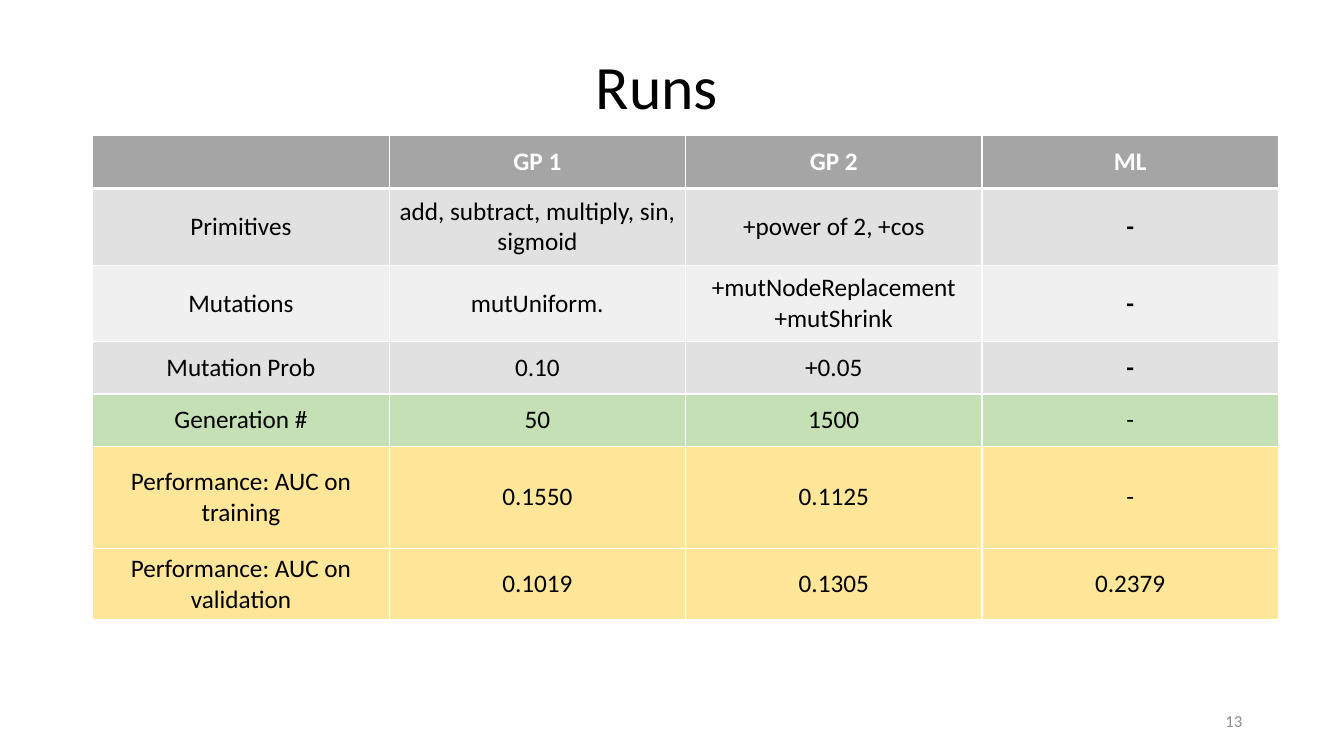
"""Build the slide that compares the settings and scores of the runs."""
from lxml.etree import SubElement
from pptx import Presentation
from pptx.dml.color import RGBColor
from pptx.enum.text import MSO_ANCHOR, PP_ALIGN
from pptx.oxml.ns import qn
from pptx.util import Inches, Pt

COLORS = {
    "header": "A5A5A5", "dark": "E1E1E1", "light": "F0F0F0",
    "green": "C5E0B4", "yellow": "FFE699",
    "white": "FFFFFF", "black": "000000", "number": "8C8C8C",
}
RUNS = [
    ("header", 0.53, ["", "GP 1", "GP 2", "ML"]),
    ("dark", 0.76, ["Primitives", "add, subtract, multiply, sin, sigmoid", "+power of 2, +cos", "-"]),
    ("light", 0.76, ["Mutations", "mutUniform.", "+mutNodeReplacement +mutShrink", "-"]),
    ("dark", 0.52, ["Mutation Prob", "0.10", "+0.05", "-"]),
    ("green", 0.52, ["Generation #", "50", "1500", "-"]),
    ("yellow", 1.01, ["Performance: AUC on training", "0.1550", "0.1125", "-"]),
    ("yellow", 0.71, ["Performance: AUC on validation", "0.1019", "0.1305", "0.2379"]),
]
COLUMNS = 4
COLUMN_WIDTH = 2.94


def write(frame, text, size, color, align, bold=False):
    paragraph = frame.paragraphs[0]
    paragraph.alignment = align
    run = paragraph.add_run()
    run.text = text
    run.font.name = "Calibri"
    run.font.size = Pt(size)
    run.font.bold = bold
    run.font.color.rgb = RGBColor.from_string(COLORS[color])
    return paragraph


def add_border(cell, side, points):
    line = SubElement(cell._tc.tcPr, qn(f"a:ln{side}"), w=str(Pt(points)))
    fill = SubElement(line, qn("a:solidFill"))
    SubElement(fill, qn("a:srgbClr"), val=COLORS["white"])


deck = Presentation()
deck.slide_width, deck.slide_height = Inches(13.33), Inches(7.5)
slide = deck.slides.add_slide(deck.slide_layouts[6])

title = slide.shapes.add_textbox(Inches(2.79), Inches(0.28), Inches(7.45), Inches(0.99)).text_frame
title.word_wrap = True
title.vertical_anchor = MSO_ANCHOR.BOTTOM
write(title, "Runs", 44, "black", PP_ALIGN.CENTER).line_spacing = 0.9

number = slide.shapes.add_textbox(Inches(9.42), Inches(6.95), Inches(3), Inches(0.4)).text_frame
number.word_wrap = True
number.vertical_anchor = MSO_ANCHOR.MIDDLE
write(number, "13", 12, "number", PP_ALIGN.RIGHT)

comparison = slide.shapes.add_table(
    len(RUNS), COLUMNS, Inches(0.92), Inches(1.34),
    Inches(COLUMNS * COLUMN_WIDTH), Inches(sum(height for _, height, _ in RUNS)),
).table
for column in comparison.columns:
    column.width = Inches(COLUMN_WIDTH)

for row, (tone, height, entries) in enumerate(RUNS):
    comparison.rows[row].height = Inches(height)
    for col, entry in enumerate(entries):
        cell = comparison.cell(row, col)
        cell.vertical_anchor = MSO_ANCHOR.MIDDLE
        for side in "LRTB":
            beside_header = (row, side) in [(0, "B"), (1, "T")]
            add_border(cell, side, 3 if beside_header else 1)
        cell.fill.solid()
        cell.fill.fore_color.rgb = RGBColor.from_string(COLORS[tone])
        if entry:
            bold = row == 0 or (entry == "-" and row < 4)
            ink = "white" if row == 0 else "black"
            write(cell.text_frame, entry, 18, ink, PP_ALIGN.CENTER, bold)

deck.save("out.pptx")
